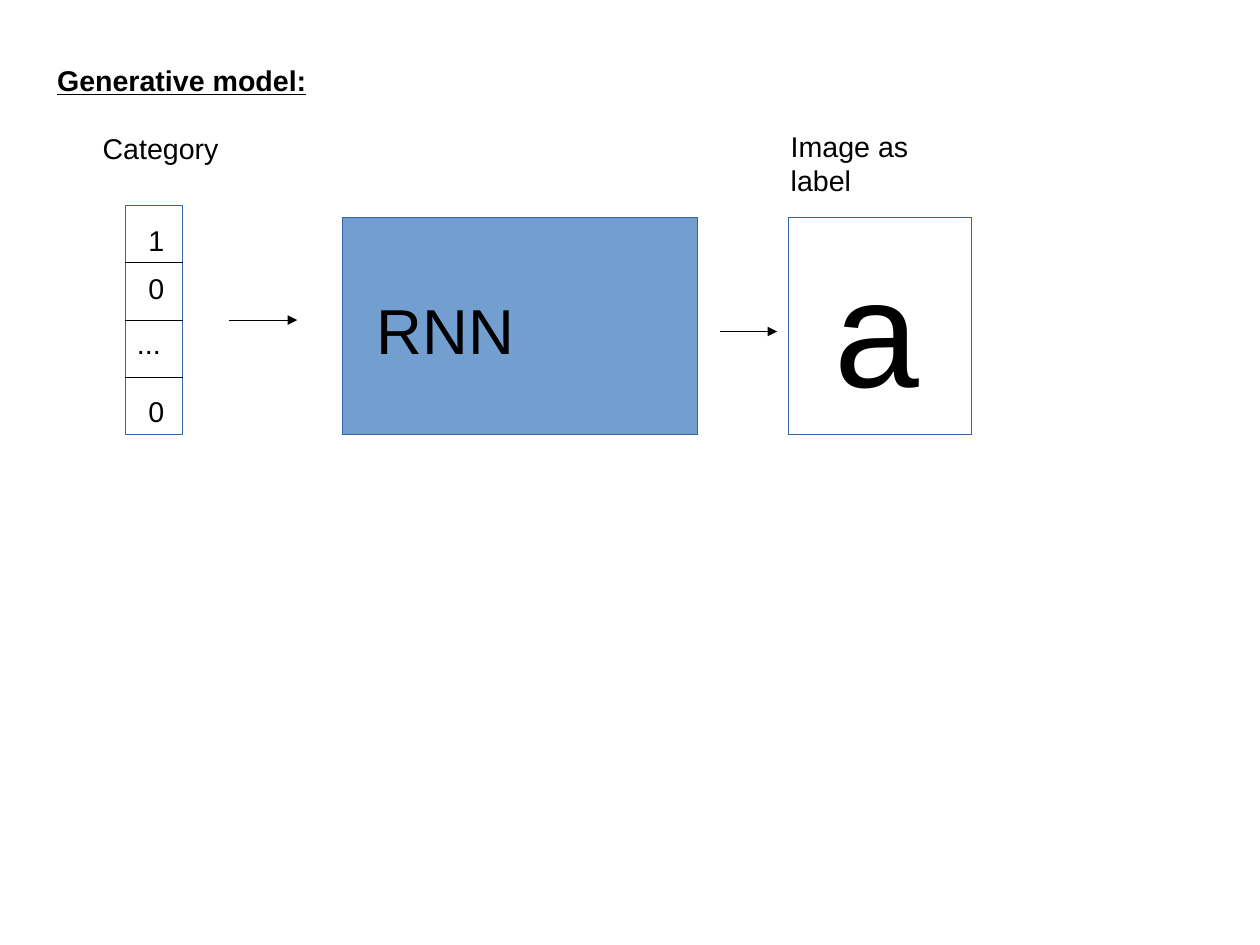
import pptx
import pptx.dml.color
import pptx.enum.shapes
import pptx.enum.text
import pptx.oxml
import pptx.oxml.ns
import pptx.util

EMU_PER_PX = 9144
SLIDE_WIDTH = pptx.util.Emu(10080625)
SLIDE_HEIGHT = pptx.util.Emu(7559675)
BLACK = pptx.dml.color.RGBColor(0x00, 0x00, 0x00)
WHITE = pptx.dml.color.RGBColor(0xFF, 0xFF, 0xFF)
BLUE = pptx.dml.color.RGBColor(0x72, 0x9F, 0xCF)
OUTLINE = pptx.dml.color.RGBColor(0x34, 0x65, 0xA4)

TITLE = ("Generative model:", (40, 50, 320, 38))
VECTOR = (110, 180, 50, 200)
VECTOR_CELLS = 4
BOXES = [
    (VECTOR, None),
    ((300, 190, 310, 190), BLUE),
    ((690, 190, 160, 190), WHITE),
]
ARROWS = [(200, 260, 280), (630, 680, 290)]
LABELS = [
    ("Category", (80, 110, 140, 38), 18),
    ("Image as label", (682, 108, 170, 66), 18),
    ("1", (120, 190, 60, 38), 18),
    ("0", (120, 232, 60, 38), 18),
    ("...", (110, 280, 60, 94), 18),
    ("0", (120, 340, 50, 38), 18),
    ("RNN", (320, 250, 270, 72), 40),
    ("a", (720, 201, 140, 159), 96),
]
FRAME_FORMAT = {
    "word_wrap": True,
    "auto_size": pptx.enum.text.MSO_AUTO_SIZE.NONE,
    "vertical_anchor": pptx.enum.text.MSO_ANCHOR.TOP,
    "margin_left": pptx.util.Inches(0.1),
    "margin_right": pptx.util.Inches(0.1),
    "margin_top": pptx.util.Inches(0.05),
    "margin_bottom": pptx.util.Inches(0.05),
}
PARAGRAPH_FORMAT = {
    "alignment": pptx.enum.text.PP_ALIGN.LEFT,
    "line_spacing": 1.0,
    "space_before": pptx.util.Pt(0),
}


def emu(lengths):
    return [length * EMU_PER_PX for length in lengths]


def apply(target, values):
    for name, value in values.items():
        setattr(target, name, value)


def write_text(shape, text, size, **font_format):
    frame = shape.text_frame
    frame.text = text
    apply(frame, FRAME_FORMAT)
    paragraph = frame.paragraphs[0]
    apply(paragraph, PARAGRAPH_FORMAT)
    font = paragraph.runs[0].font
    apply(font, {"name": "Arial", "size": pptx.util.Pt(size), **font_format})
    font.color.rgb = BLACK


def set_hairline(shape, color):
    shape.line.color.rgb = color
    shape.line.width = pptx.util.Pt(0)
    element = shape._element
    element.remove(element.find(pptx.oxml.ns.qn("p:style")))


def add_box(slide, bounds, fill):
    shape = slide.shapes.add_shape(
        pptx.enum.shapes.MSO_SHAPE.RECTANGLE, *emu(bounds))
    shape.shadow.inherit = False
    if fill is None:
        shape.fill.background()
    else:
        shape.fill.solid()
        shape.fill.fore_color.rgb = fill
    set_hairline(shape, OUTLINE)


def add_line(slide, start, end, y, arrow=False):
    connector = slide.shapes.add_connector(
        pptx.enum.shapes.MSO_CONNECTOR.STRAIGHT, *emu((start, y, end, y)))
    set_hairline(connector, BLACK)
    properties = connector._element.spPr
    if arrow:
        head = pptx.oxml.parse_xml(
            f'<a:tailEnd {pptx.oxml.ns.nsdecls("a")} type="triangle"/>')
        properties.find(pptx.oxml.ns.qn("a:ln")).append(head)
    properties.append(
        pptx.oxml.parse_xml(f'<a:effectLst {pptx.oxml.ns.nsdecls("a")}/>'))


def main():
    presentation = pptx.Presentation()
    presentation.slide_width = SLIDE_WIDTH
    presentation.slide_height = SLIDE_HEIGHT
    slide = presentation.slides.add_slide(presentation.slide_layouts[5])

    text, bounds = TITLE
    title = slide.shapes.title
    apply(title, dict(zip(("left", "top", "width", "height"), emu(bounds))))
    write_text(title, text, 18, bold=True, underline=True)

    for bounds, fill in BOXES:
        add_box(slide, bounds, fill)

    left, top, width, height = VECTOR
    for index in range(1, VECTOR_CELLS):
        add_line(slide, left, left + width, top + index * height // VECTOR_CELLS)

    for start, end, y in ARROWS:
        add_line(slide, start, end, y, arrow=True)

    for text, bounds, size in LABELS:
        write_text(slide.shapes.add_textbox(*emu(bounds)), text, size)

    presentation.save("out.pptx")


if __name__ == "__main__":
    main()
